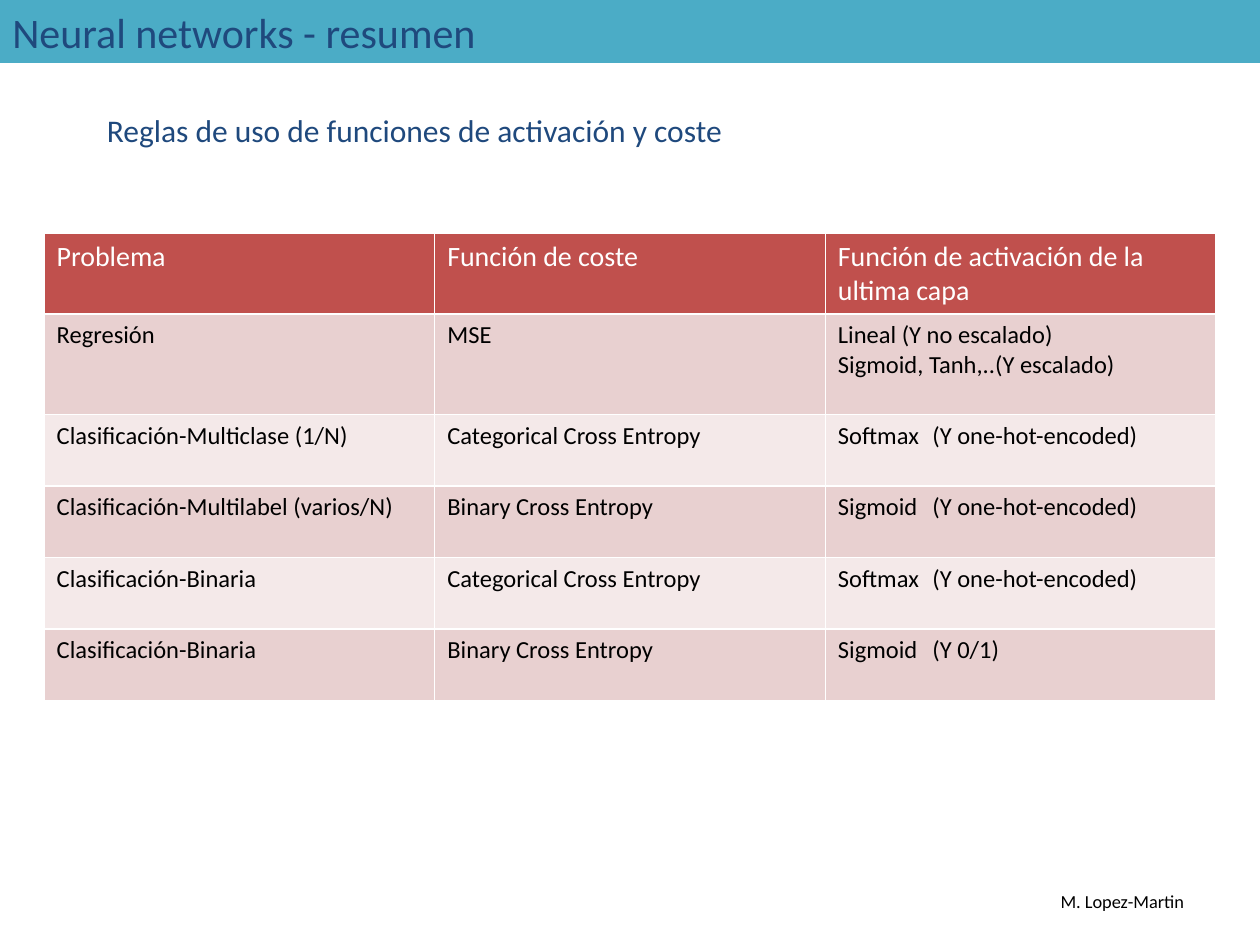
from dataclasses import dataclass

from lxml.etree import SubElement
from pptx import Presentation
from pptx.dml.color import RGBColor
from pptx.enum.shapes import MSO_SHAPE as Preset
from pptx.enum.text import MSO_ANCHOR as Anchor, MSO_AUTO_SIZE as AutoSize, PP_ALIGN as Align
from pptx.oxml.ns import qn
from pptx.util import Pt

FONT = "Calibri"
NAVY, TEAL, RED, WHITE, BLACK = "1F497D", "4BACC6", "C0504D", "FFFFFF", "000000"
BANDS = ("E8D0D0", "F4E9E9")
NOTE_TAB = 54


@dataclass
class Label:
    text: str
    left: float
    top: float
    width: float
    height: float
    size: float
    color: str


@dataclass
class Row:
    height: float
    cells: tuple[str, str, str]


LABELS = [
    Label("M. Lopez-Martin", 599, 505.4, 94.3, 20.9, 10.5, BLACK),
    Label("Reglas de uso de funciones de activación y coste",
          54, 59.8, 412.6, 51.1, 18, NAVY),
]

ROWS = [
    Row(45.4, ("Problema", "Función de coste", "Función de activación de la ultima capa")),
    Row(57.4, ("Regresión", "MSE", "Lineal (Y no escalado)\nSigmoid, Tanh,..(Y escalado)")),
    Row(40.9, ("Clasificación-Multiclase (1/N)", "Categorical Cross Entropy",
               "Softmax\t(Y one-hot-encoded)")),
    Row(40.9, ("Clasificación-Multilabel (varios/N)", "Binary Cross Entropy",
               "Sigmoid\t(Y one-hot-encoded)")),
    Row(40.9, ("Clasificación-Binaria", "Categorical Cross Entropy",
               "Softmax\t(Y one-hot-encoded)")),
    Row(40.9, ("Clasificación-Binaria", "Binary Cross Entropy", "Sigmoid\t(Y 0/1)")),
]


def rgb(value: str) -> RGBColor:
    return RGBColor.from_string(value)


def write(frame, text: str, size: float, color: str) -> None:
    """Write one paragraph per line; a tab leads to the note in brackets."""
    for index, line in enumerate(text.split("\n")):
        paragraph = frame.add_paragraph() if index else frame.paragraphs[0]
        paragraph.alignment = Align.LEFT
        if "\t" in line:
            stops = SubElement(paragraph._p.get_or_add_pPr(), qn("a:tabLst"))
            SubElement(stops, qn("a:tab"), pos=str(Pt(NOTE_TAB)), algn="l")
        run = paragraph.add_run()
        run.text = line
        run.font.name, run.font.size, run.font.bold = FONT, Pt(size), False
        run.font.color.rgb = rgb(color)


def draw_title(slide, text: str) -> None:
    banner = slide.shapes.add_shape(Preset.RECTANGLE, 0, 0, Pt(720), Pt(36))
    banner.shadow.inherit = False
    banner.fill.solid()
    banner.fill.fore_color.rgb = rgb(TEAL)
    banner.line.fill.background()
    banner.text_frame.vertical_anchor = Anchor.MIDDLE
    write(banner.text_frame, text, 24, NAVY)


def draw_label(slide, label: Label) -> None:
    box = slide.shapes.add_textbox(Pt(label.left), Pt(label.top),
                                   Pt(label.width), Pt(label.height))
    box.text_frame.word_wrap = False
    box.text_frame.auto_size = AutoSize.SHAPE_TO_FIT_TEXT
    write(box.text_frame, label.text, label.size, label.color)


def style_cell(cell, fill: str) -> None:
    properties = cell._tc.get_or_add_tcPr()
    for side in ("lnL", "lnR", "lnT", "lnB"):
        border = SubElement(properties, qn(f"a:{side}"), w=str(Pt(1)))
        SubElement(SubElement(border, qn("a:solidFill")), qn("a:srgbClr"), val=WHITE)
    cell.fill.solid()
    cell.fill.fore_color.rgb = rgb(fill)


def draw_rules(slide, rows: list[Row]) -> None:
    total = sum(row.height for row in rows)
    rules = slide.shapes.add_table(len(rows), 3, Pt(25.2), Pt(133.2),
                                   Pt(669.6), Pt(total)).table
    rules.horz_banding = False
    for number, row in enumerate(rows):
        rules.rows[number].height = Pt(row.height)
        header = number == 0
        fill = RED if header else BANDS[(number - 1) % 2]
        for column, text in enumerate(row.cells):
            cell = rules.cell(number, column)
            style_cell(cell, fill)
            write(cell.text_frame, text, 16 if header else 14, WHITE if header else BLACK)


def main() -> None:
    deck = Presentation()
    deck.slide_width, deck.slide_height = Pt(720), Pt(540)
    slide = deck.slides.add_slide(deck.slide_layouts[6])

    # Title banner
    draw_title(slide, "Neural networks - resumen")
    # Table of cost and activation functions
    draw_rules(slide, ROWS)
    # Author and subtitle
    for label in LABELS:
        draw_label(slide, label)

    deck.save("out.pptx")


if __name__ == "__main__":
    main()
